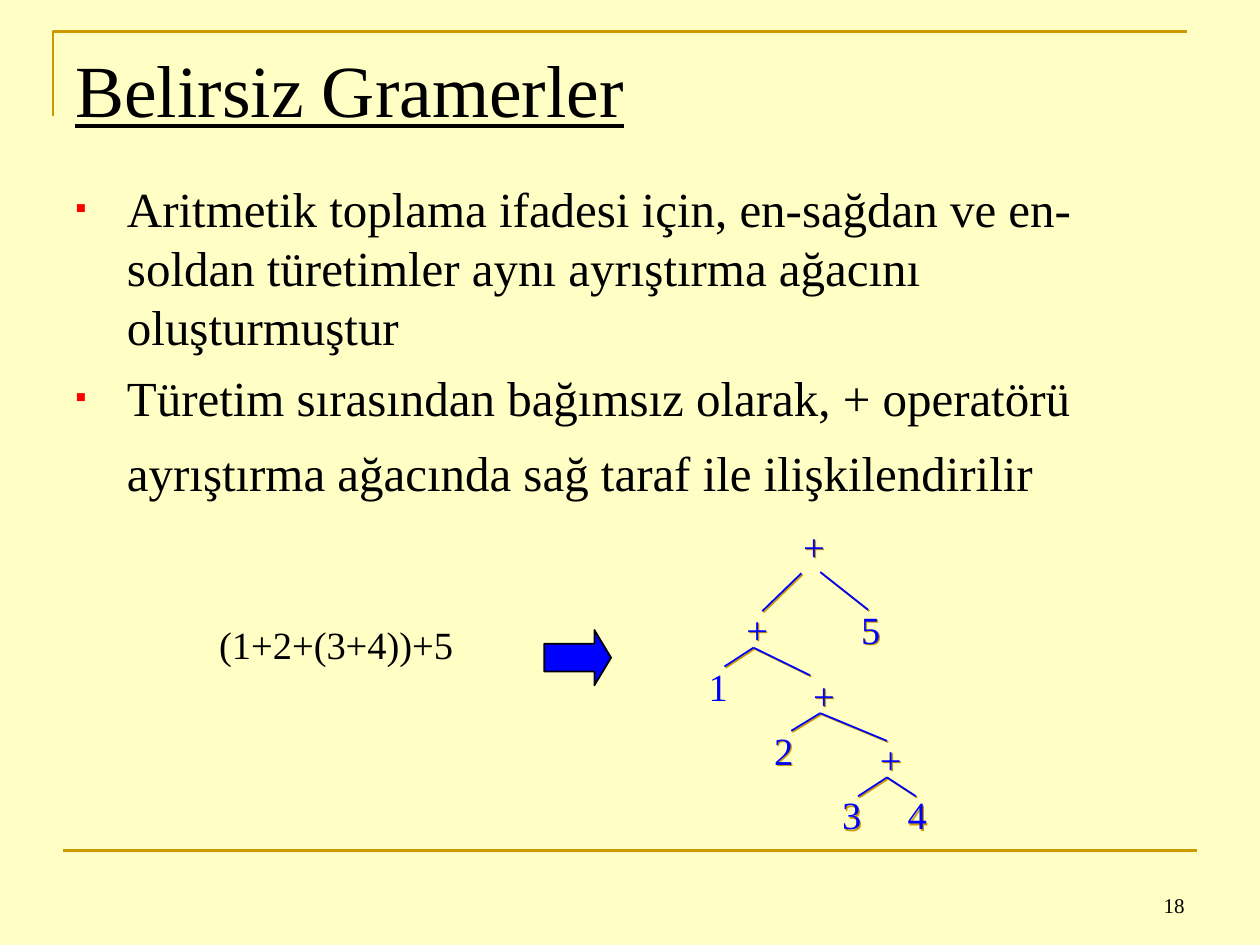
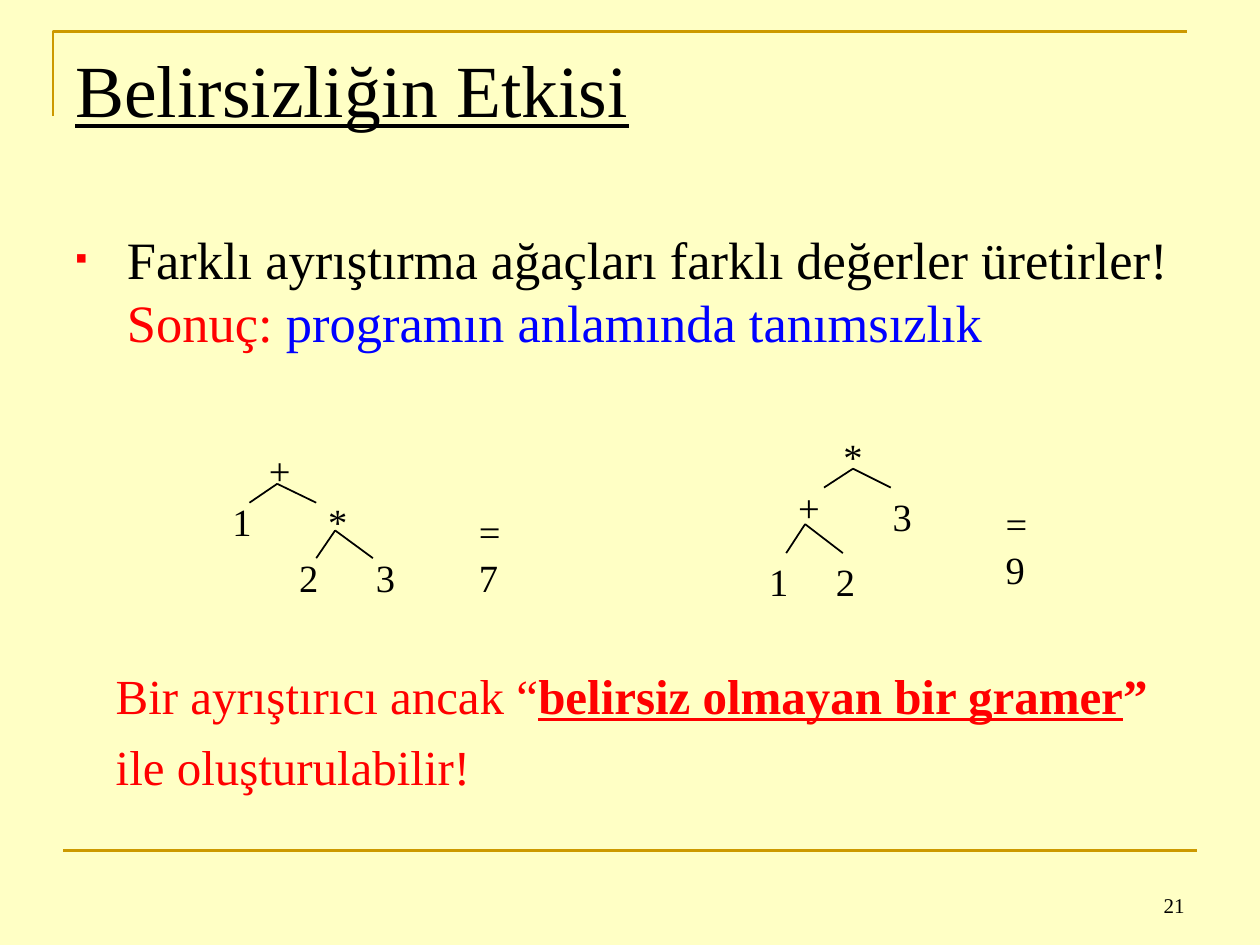
from lxml.etree import SubElement
from pptx import Presentation
from pptx.dml.color import RGBColor
from pptx.enum.shapes import MSO_CONNECTOR as Connector, MSO_SHAPE as Shape
from pptx.enum.text import MSO_ANCHOR as Anchor, PP_ALIGN as Align
from pptx.oxml.ns import qn
from pptx.util import Inches, Pt

CREAM = RGBColor(0xFF, 0xFF, 0xC5)
GOLD = RGBColor(0xCC, 0x99, 0x00)
BLACK = RGBColor(0, 0, 0)
RED = RGBColor(0xFF, 0, 0)
BLUE = RGBColor(0, 0, 0xFF)
FONT = "Times New Roman"
LABEL_SIZE = 22
LABEL_HEIGHT = 0.46
NODE_WIDTH = 0.35
SHADOW_OFFSET = 0.01

# Nodes are (text, centre x, top); edges are (x1, y1, x2, y2), all from the tree's corner.
SUM_NODES = [
    ("+", 0.96, 0.01), ("+", 0.51, 0.67), ("+", 1.04, 1.19), ("+", 1.57, 1.7),
    ("1", 0.2, 1.12), ("2", 0.72, 1.63), ("3", 1.26, 2.14), ("4", 1.78, 2.14),
    ("5", 1.41, 0.67),
]
SUM_EDGES = [
    (0.86, 0.45, 0.55, 0.75), (1.01, 0.44, 1.39, 0.74),
    (0.48, 1.04, 0.25, 1.19), (0.48, 1.04, 0.93, 1.26),
    (1.01, 1.56, 0.78, 1.7), (1.01, 1.56, 1.54, 1.78),
    (1.54, 2.07, 1.31, 2.22), (1.54, 2.07, 1.77, 2.22),
]
PLUS_ROOT_NODES = [
    ("+", 0.52, 0.01), ("*", 0.98, 0.41), ("1", 0.22, 0.41),
    ("2", 0.75, 0.86), ("3", 1.36, 0.86),
]
PLUS_ROOT_EDGES = [
    (0.5, 0.34, 0.28, 0.49), (0.5, 0.34, 0.81, 0.49),
    (0.96, 0.71, 0.81, 0.93), (0.96, 0.71, 1.26, 0.93),
]
TIMES_ROOT_NODES = [
    ("*", 0.77, 0), ("+", 0.42, 0.4), ("1", 0.18, 0.99),
    ("2", 0.71, 0.99), ("3", 1.16, 0.47),
]
TIMES_ROOT_EDGES = [
    (0.77, 0.32, 0.54, 0.47), (0.77, 0.32, 1.07, 0.47),
    (0.39, 0.76, 0.24, 0.99), (0.39, 0.76, 0.69, 0.99),
]


def add_text_box(page, left, top, width, height, margins=(0.1, 0.05), wrap=True):
    box = page.shapes.add_textbox(Inches(left), Inches(top), Inches(width), Inches(height))
    frame = box.text_frame
    frame.word_wrap = wrap
    frame.margin_left = frame.margin_right = Inches(margins[0])
    frame.margin_top = frame.margin_bottom = Inches(margins[1])
    return frame


def add_span(para, text, size, color=BLACK, bold=False, underline=False):
    span = para.add_run()
    span.text = text
    font = span.font
    font.name, font.size, font.bold, font.underline = FONT, Pt(size), bold, underline
    font.color.rgb = color


def add_line(page, x1, y1, x2, y2, color, weight):
    line = page.shapes.add_connector(
        Connector.STRAIGHT, Inches(x1), Inches(y1), Inches(x2), Inches(y2))
    line.line.color.rgb = color
    line.line.width = Pt(weight)
    SubElement(line._element.spPr, qn("a:effectLst"))


def add_label(page, text, left, top, width):
    frame = add_text_box(page, left, top, width, LABEL_HEIGHT, (0.09, 0.04), wrap=False)
    add_span(frame.paragraphs[0], text, LABEL_SIZE)


def add_frame_lines(page):
    builder = page.shapes.build_freeform(Inches(0.42), Inches(0.92))
    builder.add_line_segments(
        [(Inches(0.42), Inches(0.25)), (Inches(9.42), Inches(0.25))], close=False)
    corner = builder.convert_to_shape()
    corner.shadow.inherit = False
    corner.fill.background()
    corner.line.color.rgb = GOLD
    corner.line.width = Pt(1.5)
    add_line(page, 0.5, 6.75, 9.5, 6.75, GOLD, 1.5)


def start_page(deck, title, number):
    """Add a page with its background, frame lines, title and page number."""
    page = deck.slides.add_slide(deck.slide_layouts[6])
    page.background.fill.solid()
    page.background.fill.fore_color.rgb = CREAM
    add_frame_lines(page)
    heading = add_text_box(page, 0.5, 0.3, 9, 1.25)
    add_span(heading.paragraphs[0], title, 42, underline=True)
    footer = add_text_box(page, 7.17, 6.83, 2.33, 0.5)
    footer.vertical_anchor = Anchor.BOTTOM
    footer.paragraphs[0].alignment = Align.RIGHT
    add_span(footer.paragraphs[0], str(number), 12)
    return page


def indent_para(para, bullet=True):
    """Indent a body paragraph, with a small red square hanging in front if asked."""
    props = para._p.get_or_add_pPr()
    props.set("marL", str(Inches(0.41)))
    props.set("indent", str(-Inches(0.41) if bullet else 0))
    if bullet:
        color = SubElement(props, qn("a:buClr"))
        SubElement(color, qn("a:srgbClr"), val=str(RED))
        SubElement(props, qn("a:buSzPct"), val="65000")
        SubElement(props, qn("a:buFont"), typeface=FONT)
        SubElement(props, qn("a:buChar"), char="▪")
    else:
        SubElement(props, qn("a:buNone"))


def draw_tree(page, left, top, nodes, edges, color):
    for text, center, node_top in nodes:
        frame = add_text_box(page, left + center - NODE_WIDTH / 2, top + node_top,
                             NODE_WIDTH, LABEL_HEIGHT, (0, 0.04), wrap=False)
        frame.paragraphs[0].alignment = Align.CENTER
        add_span(frame.paragraphs[0], text, LABEL_SIZE, color)
    for x1, y1, x2, y2 in edges:
        add_line(page, left + x1, top + y1, left + x2, top + y2, color, 1)


def draw_arrow(page, left, top, width, height):
    arrow = page.shapes.add_shape(
        Shape.RIGHT_ARROW, Inches(left), Inches(top), Inches(width), Inches(height))
    arrow.adjustments[0], arrow.adjustments[1] = 0.5, 0.3
    arrow.shadow.inherit = False
    arrow.fill.solid()
    arrow.fill.fore_color.rgb = BLUE
    arrow.line.color.rgb = BLACK
    arrow.line.width = Pt(1)


def build_grammar_page(deck):
    page = start_page(deck, "Belirsiz Gramerler", 18)
    body = add_text_box(page, 0.5, 1.37, 9, 5.33)
    rows = [
        ("Aritmetik toplama ifadesi için, en-sağdan ve en-soldan türetimler "
         "aynı ayrıştırma ağacını oluşturmuştur", True, None),
        ("Türetim sırasından bağımsız olarak, + operatörü", True, 7),
        ("ayrıştırma ağacında sağ taraf ile ilişkilendirilir", False, 9.5),
    ]
    for index, (text, bullet, space) in enumerate(rows):
        para = body.add_paragraph() if index else body.paragraphs[0]
        indent_para(para, bullet)
        if space:
            para.space_before = Pt(space)
        add_span(para, text, 28)

    add_label(page, "(1+2+(3+4))+5", 1.65, 4.89, 2.04)
    draw_arrow(page, 4.32, 5, 0.53, 0.44)
    left, top = 5.5, 4.1
    shaded_nodes = [node for node in SUM_NODES if node[0] != "1"]
    draw_tree(page, left + SHADOW_OFFSET, top + SHADOW_OFFSET, shaded_nodes, SUM_EDGES, GOLD)
    draw_tree(page, left, top, SUM_NODES, SUM_EDGES, BLUE)


def build_effect_page(deck):
    page = start_page(deck, "Belirsizliğin Etkisi", 21)
    para = add_text_box(page, 0.5, 1.75, 9, 4.95).paragraphs[0]
    indent_para(para)
    add_span(para, "Farklı ayrıştırma ağaçları farklı değerler üretirler! ", 30)
    add_span(para, "Sonuç: ", 30, RED)
    add_span(para, "programın anlamında tanımsızlık", 30, BLUE)

    draw_tree(page, 1.7, 3.5, PLUS_ROOT_NODES, PLUS_ROOT_EDGES, BLACK)
    add_label(page, "= 7", 3.71, 3.99, 0.58)
    draw_tree(page, 6, 3.4, TIMES_ROOT_NODES, TIMES_ROOT_EDGES, BLACK)
    add_label(page, "= 9", 7.89, 3.93, 0.58)

    conclusion = add_text_box(page, 0.82, 5.23, 8.69, 1.13)
    first = conclusion.paragraphs[0]
    add_span(first, "Bir ayrıştırıcı ancak “", 28, RED)
    add_span(first, "belirsiz olmayan bir gramer", 28, RED, bold=True, underline=True)
    add_span(first, "”", 28, RED, bold=True)
    second = conclusion.add_paragraph()
    second.space_before = Pt(7)
    add_span(second, "ile oluşturulabilir!", 28, RED)


def main():
    deck = Presentation()
    deck.slide_width, deck.slide_height = Inches(10), Inches(7.5)
    build_grammar_page(deck)
    build_effect_page(deck)
    deck.save("out.pptx")


if __name__ == "__main__":
    main()
